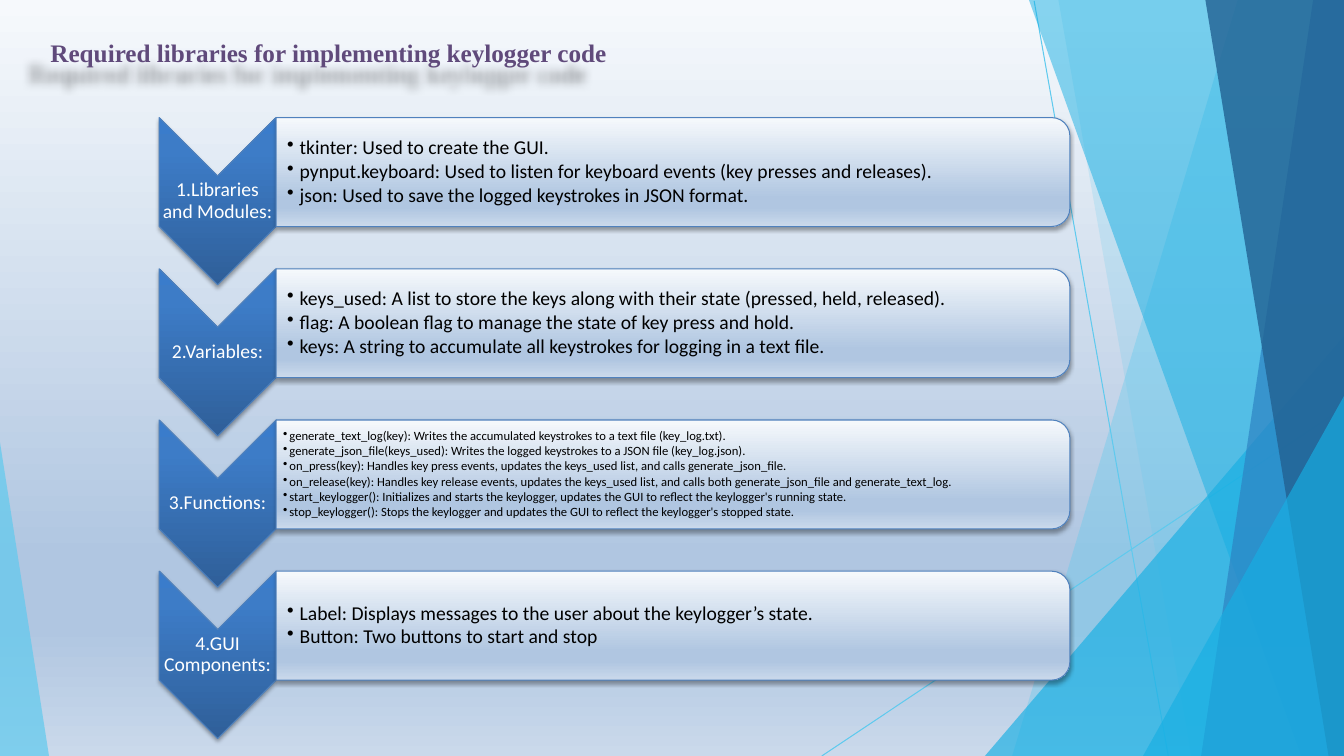
from dataclasses import dataclass

from lxml.etree import SubElement
from pptx import Presentation
from pptx.dml.color import RGBColor
from pptx.enum.shapes import MSO_CONNECTOR as Link, MSO_SHAPE as Preset
from pptx.enum.text import MSO_ANCHOR as Anchor, PP_ALIGN as Align
from pptx.oxml.ns import qn
from pptx.util import Pt


@dataclass(frozen=True)
class Theme:
    title: str = "604A7B"
    outline: str = "4F81BD"
    label: str = "FFFFFF"
    body: str = "000000"
    sky: str = "5FCAEE"
    cyan: str = "17AFE3"
    blue: str = "2D83C3"
    navy: str = "226192"
    pale: tuple = ((0, "F6F9FC"), (74, "B0C6E1"), (83, "B0C6E1"), (100, "CAD9EB"))
    deep: tuple = ((0, "2F5F99"), (80, "3D7CC7"), (100, "3A7CCB"))
    title_font: str = "Times New Roman"
    body_font: str = "Calibri"
    title_size: int = 18
    text_size: int = 14
    small_size: int = 9


THEME = Theme()
WIDTH, HEIGHT = 960, 540

TITLE = "Required libraries for implementing keylogger code"
ROWS = [
    ("1.Libraries and Modules:", THEME.text_size, [
        "tkinter: Used to create the GUI.",
        "pynput.keyboard: Used to listen for keyboard events (key presses and releases).",
        "json: Used to save the logged keystrokes in JSON format."]),
    ("2.Variables:", THEME.text_size, [
        "keys_used: A list to store the keys along with their state (pressed, held, released).",
        "flag: A boolean flag to manage the state of key press and hold.",
        "keys: A string to accumulate all keystrokes for logging in a text file."]),
    ("3.Functions:", THEME.small_size, [
        "generate_text_log(key): Writes the accumulated keystrokes to a text file (key_log.txt).",
        "generate_json_file(keys_used): Writes the logged keystrokes to a JSON file (key_log.json).",
        "on_press(key): Handles key press events, updates the keys_used list, and calls generate_json_file.",
        "on_release(key): Handles key release events, updates the keys_used list, "
        "and calls both generate_json_file and generate_text_log.",
        "start_keylogger(): Initializes and starts the keylogger, "
        "updates the GUI to reflect the keylogger's running state.",
        "stop_keylogger(): Stops the keylogger and updates the GUI to reflect the keylogger's stopped state."]),
    ("4.GUI Components:", THEME.text_size, [
        "Label: Displays messages to the user about the keylogger’s state.",
        "Button: Two buttons to start and stop"]),
]

# Facets as (colour, opacity, corners), in fractions of no box: points on the page
FACETS = [
    (THEME.sky, 36, [(960, 0), (884, 0), (723, 540), (960, 540)]),
    (THEME.sky, 20, [(960, 0), (756, 0), (851, 540), (960, 540)]),
    (THEME.cyan, 66, [(960, 240), (703.5, 540), (960, 540)]),
    (THEME.cyan, 50, [(960, 0), (735, 0), (929.5, 540), (960, 540)]),
    (THEME.blue, 70, [(960, 0), (938, 0), (858, 540), (960, 540)]),
    (THEME.navy, 80, [(960, 0), (861, 0), (949, 540), (960, 540)]),
    (THEME.cyan, 66, [(960, 283), (816.5, 540), (960, 540)]),
    (THEME.sky, 70, [(0, 316), (0, 540), (35, 540)]),
]
RAYS = [((738.7, 0.7), (834.5, 540)), ((960, 291), (587, 540))]


def add_node(parent, tag, **attributes):
    return SubElement(parent, qn(tag), {name: str(value) for name, value in attributes.items()})


def set_gradient(fill, owner, stops, angle):
    """Replace the owner's solid fill with a gradient that keeps upright."""
    fill.solid()
    solid = owner.find(qn("a:solidFill"))
    gradient = add_node(owner, "a:gradFill", rotWithShape=0)
    owner.replace(solid, gradient)
    stop_list = add_node(gradient, "a:gsLst")
    for position, colour in stops:
        stop = add_node(stop_list, "a:gs", pos=position * 1000)
        add_node(stop, "a:srgbClr", val=colour)
    add_node(gradient, "a:lin", ang=angle * 60000, scaled=0)


def set_shadow(shape, blur, distance, direction, opacity):
    shape.shadow.inherit = False
    effects = shape.element.spPr.find(qn("a:effectLst"))
    shadow = add_node(effects, "a:outerShdw", blurRad=Pt(blur), dist=Pt(distance),
                      dir=direction * 60000, algn="ctr", rotWithShape=0)
    add_node(add_node(shadow, "a:srgbClr", val="000000"), "a:alpha", val=opacity * 1000)


def add_text(page, box, lines, font, size, colour, inset=0.7, bold=False, anchor=Anchor.MIDDLE):
    """Add a text box and return it; every line becomes one paragraph."""
    shape = page.shapes.add_textbox(*map(Pt, box))
    frame = shape.text_frame
    frame.word_wrap = True
    frame.vertical_anchor = anchor
    frame.margin_left = Pt(inset)
    frame.margin_top = frame.margin_right = frame.margin_bottom = Pt(0.7)
    for index, line in enumerate(lines):
        para = frame.paragraphs[0] if index == 0 else frame.add_paragraph()
        para.line_spacing = 0.9
        run = para.add_run()
        run.text = line
        run.font.name, run.font.size, run.font.bold = font, Pt(size), bold
        run.font.color.rgb = RGBColor.from_string(colour)
    return shape


def draw_backdrop(page):
    page.background.fill.solid()
    owner = page.element.find(".//" + qn("p:bgPr"))
    set_gradient(page.background.fill, owner, THEME.pale, 90)
    for start, end in RAYS:
        ray = page.shapes.add_connector(Link.STRAIGHT, *map(Pt, start + end))
        ray.line.color.rgb = RGBColor.from_string(THEME.sky)
        ray.line.width = Pt(0.75)
        add_node(ray.element.spPr, "a:effectLst")
    for colour, opacity, corners in FACETS:
        points = [(Pt(x), Pt(y)) for x, y in corners]
        builder = page.shapes.build_freeform(*points[0])
        builder.add_line_segments(points[1:], close=True)
        facet = builder.convert_to_shape()
        facet.shadow.inherit = False
        facet.line.fill.background()
        facet.fill.solid()
        facet.fill.fore_color.rgb = RGBColor.from_string(colour)
        tint = facet.element.spPr.find(qn("a:solidFill"))[0]
        add_node(tint, "a:alpha", val=opacity * 1000)


def draw_title(page, box):
    title = add_text(page, box, [TITLE], THEME.title_font, THEME.title_size, THEME.title,
                     inset=0, bold=True, anchor=Anchor.TOP)
    title.text_frame.margin_top = 0
    title.text_frame.paragraphs[0].line_spacing = 1.0
    set_shadow(title, 6, 21, 138, 35)


def draw_turned(page, preset, box, stops, angle):
    """Fill the box with a preset shape turned a quarter clockwise."""
    left, top, width, height = box
    shift = (width - height) / 2
    shape = page.shapes.add_shape(preset, Pt(left + shift), Pt(top - shift), Pt(height), Pt(width))
    shape.rotation = 90
    set_gradient(shape.fill, shape.element.spPr, stops, angle)
    shape.line.color.rgb = RGBColor.from_string(THEME.outline)
    shape.line.width = Pt(0.75)
    set_shadow(shape, 3.1, 1.8, 90, 35)


def draw_row(page, box, label, size, items):
    left, top, width, height = box
    arrow_width, panel_height = 83.5, 77.8
    panel_left, panel_width = left + arrow_width, width - arrow_width

    # Arrow and its label
    draw_turned(page, Preset.CHEVRON, (left, top, arrow_width, height), THEME.deep, 270)
    caption = add_text(page, (left, top + arrow_width / 2, arrow_width, height - arrow_width),
                       [label], THEME.body_font, THEME.text_size, THEME.label)
    caption.text_frame.paragraphs[0].alignment = Align.CENTER

    # Panel and its bullets
    draw_turned(page, Preset.ROUND_2_SAME_RECTANGLE,
                (panel_left, top, panel_width, panel_height), THEME.pale, 90)
    details = add_text(page, (panel_left, top + 4, panel_width - 4, panel_height - 8),
                       items, THEME.body_font, size, THEME.body, inset=0.56 * size)
    hang = Pt(9 if size == THEME.text_size else 4.5)
    for para in details.text_frame.paragraphs:
        para.space_after = Pt(0.13 * size)
        settings = para._p.get_or_add_pPr()
        settings.set("marL", str(hang))
        settings.set("indent", str(-hang))
        add_node(settings, "a:buChar", char="•")


def main():
    deck = Presentation()
    deck.slide_width, deck.slide_height = Pt(WIDTH), Pt(HEIGHT)
    page = deck.slides.add_slide(deck.slide_layouts[6])
    draw_backdrop(page)
    draw_title(page, (36, 26.6, 841, 21.6))
    for index, row in enumerate(ROWS):
        draw_row(page, (113.7, 84 + 108 * index, 650.5, 119.5), *row)
    deck.save("out.pptx")


if __name__ == "__main__":
    main()
